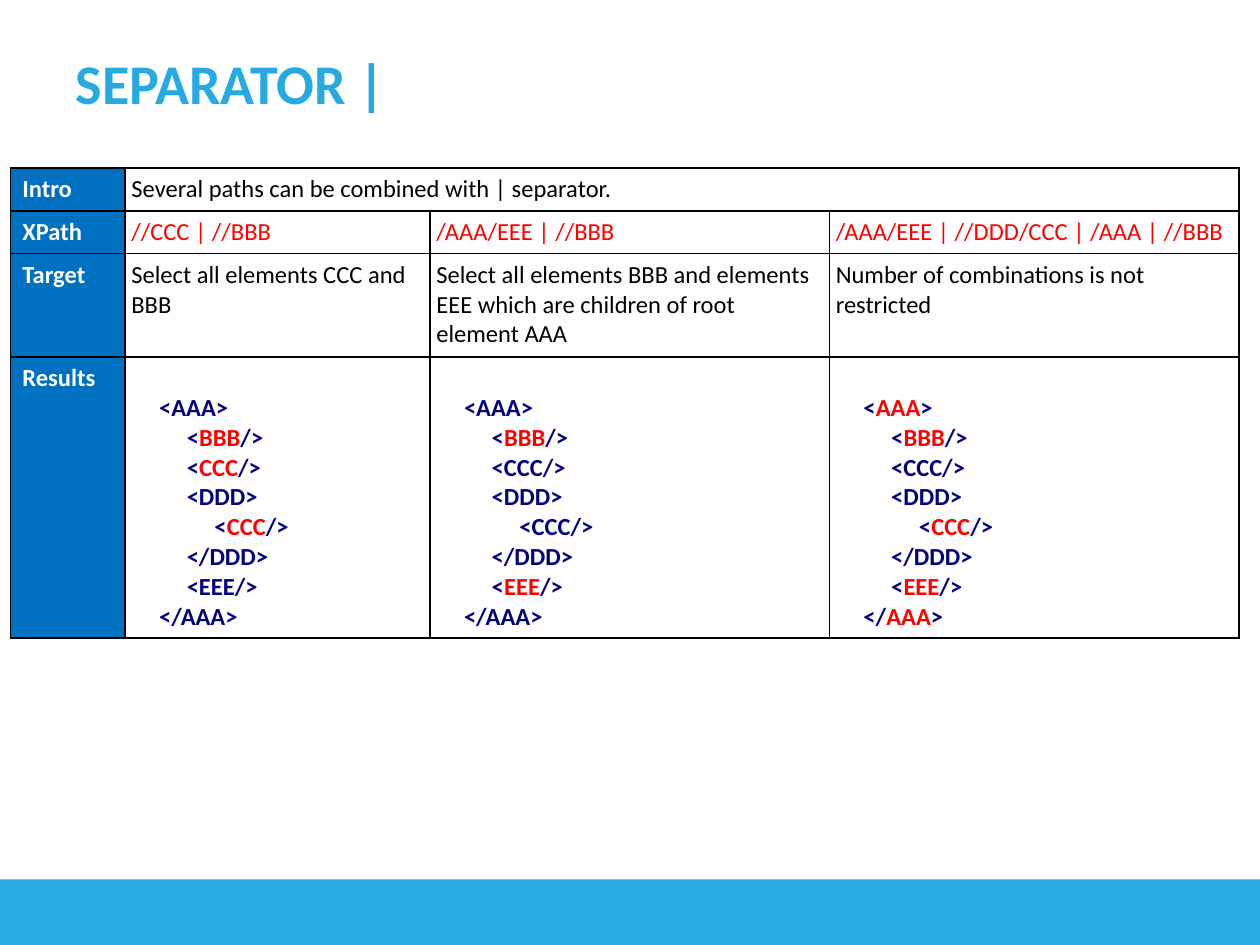
from lxml import etree
from pptx import Presentation
from pptx.dml.color import RGBColor
from pptx.enum import shapes, text
from pptx.oxml import ns
from pptx.util import Pt

# Content
COLORS = {"sky": "27AAE1", "blue": "0070C0", "white": "FFFFFF",
          "black": "000000", "red": "FF0000", "navy": "000080"}
FONT = "Calibri"
TITLE = "SEPARATOR |"
INTRO = "Several paths can be combined with | separator."
LABELS = ["Intro", "XPath", "Target", "Results"]
# Each example: path, explanation, numbers of the XML lines it selects
EXAMPLES = [
    ("//CCC | //BBB", "Select all elements CCC and BBB", {1, 2, 4}),
    ("/AAA/EEE | //BBB",
     "Select all elements BBB and elements EEE which are children of root element AAA",
     {1, 6}),
    ("/AAA/EEE | //DDD/CCC | /AAA | //BBB",
     "Number of combinations is not restricted", {0, 1, 4, 6, 7}),
]
# XML lines: depth, opening, element name, closing
XML_LINES = [
    (1, "<", "AAA", ">"), (2, "<", "BBB", "/>"), (2, "<", "CCC", "/>"),
    (2, "<", "DDD", ">"), (3, "<", "CCC", "/>"), (2, "</", "DDD", ">"),
    (2, "<", "EEE", "/>"), (1, "</", "AAA", ">"),
]

# Layout, in points
COLUMN_WIDTHS = [65.5, 174.25, 228.25, 234]
ROW_HEIGHTS = [24.5, 24.5, 59, 160.5]
TABLE_LEFT, TABLE_TOP = 6, 96
INSET, LABEL_INSET, LINE_HEIGHT = 3.6, 6.8, 17.1
INDENT = " " * 5


def rgb(name):
    return RGBColor.from_string(COLORS[name])


def write(paragraph, words, color, bold=False, size=14):
    run = paragraph.add_run()
    run.text = words
    formats = {"name": FONT, "size": Pt(size), "bold": bold}
    for key, value in formats.items():
        setattr(run.font, key, value)
    run.font.color.rgb = rgb(color)


def style_cell(cell, fill):
    properties = cell._tc.get_or_add_tcPr()
    for side in ("lnL", "lnR", "lnT", "lnB"):
        line = etree.SubElement(properties, ns.qn(f"a:{side}"), w=str(Pt(1)))
        solid = etree.SubElement(line, ns.qn("a:solidFill"))
        etree.SubElement(solid, ns.qn("a:srgbClr"), val=COLORS["black"])
    cell.fill.solid()
    cell.fill.fore_color.rgb = rgb(fill)
    for side in ("left", "right", "top", "bottom"):
        setattr(cell, f"margin_{side}", Pt(INSET))


def write_xml(cell, selected):
    cell.margin_top = Pt(INSET + LINE_HEIGHT)
    paragraph = cell.text_frame.paragraphs[0]
    for number, (depth, opening, name, closing) in enumerate(XML_LINES):
        if number:
            paragraph.add_line_break()
        write(paragraph, INDENT * depth + opening, "navy", True)
        write(paragraph, name, "red" if number in selected else "navy", True)
        write(paragraph, closing, "navy", True)
    # Line breaks take the text size too
    for line_break in paragraph._p.findall(ns.qn("a:br")):
        etree.SubElement(line_break, ns.qn("a:rPr"), sz="1400", b="1")


def main():
    prs = Presentation()
    prs.slide_width, prs.slide_height = Pt(720), Pt(540)
    slide = prs.slides.add_slide(prs.slide_layouts[5])

    # Title
    title = slide.shapes.title
    place = {"left": 36, "top": 21.6, "width": 493.2, "height": 50.4}
    for key, value in place.items():
        setattr(title, key, Pt(value))
    frame = title.text_frame
    frame.word_wrap = True
    frame.vertical_anchor = text.MSO_ANCHOR.MIDDLE
    frame.paragraphs[0].alignment = text.PP_ALIGN.LEFT
    write(frame.paragraphs[0], TITLE, "sky", True, 32)

    # Footer band
    band = slide.shapes.add_shape(shapes.MSO_SHAPE.RECTANGLE,
                                  Pt(-2), Pt(502.5), Pt(726.5), Pt(46.8))
    band.shadow.inherit = False
    band.fill.solid()
    band.fill.fore_color.rgb = rgb("sky")
    band.line.fill.background()

    # Table grid
    table = slide.shapes.add_table(
        len(ROW_HEIGHTS), len(COLUMN_WIDTHS), Pt(TABLE_LEFT), Pt(TABLE_TOP),
        Pt(sum(COLUMN_WIDTHS)), Pt(sum(ROW_HEIGHTS))).table
    table.first_row = table.horz_banding = False
    for column, width in zip(table.columns, COLUMN_WIDTHS):
        column.width = Pt(width)
    for row, height in zip(table.rows, ROW_HEIGHTS):
        row.height = Pt(height)
        for index, cell in enumerate(row.cells):
            style_cell(cell, "white" if index else "blue")

    # Row labels
    for row, label in enumerate(LABELS):
        cell = table.cell(row, 0)
        cell.margin_left = Pt(LABEL_INSET)
        write(cell.text_frame.paragraphs[0], label, "white", True)

    # Introduction and examples
    intro = table.cell(0, 1)
    intro.merge(table.cell(0, len(EXAMPLES)))
    write(intro.text_frame.paragraphs[0], INTRO, "black")
    for column, (xpath, target, selected) in enumerate(EXAMPLES, 1):
        write(table.cell(1, column).text_frame.paragraphs[0], xpath, "red")
        write(table.cell(2, column).text_frame.paragraphs[0], target, "black")
        write_xml(table.cell(3, column), selected)

    prs.save("out.pptx")


if __name__ == "__main__":
    main()
